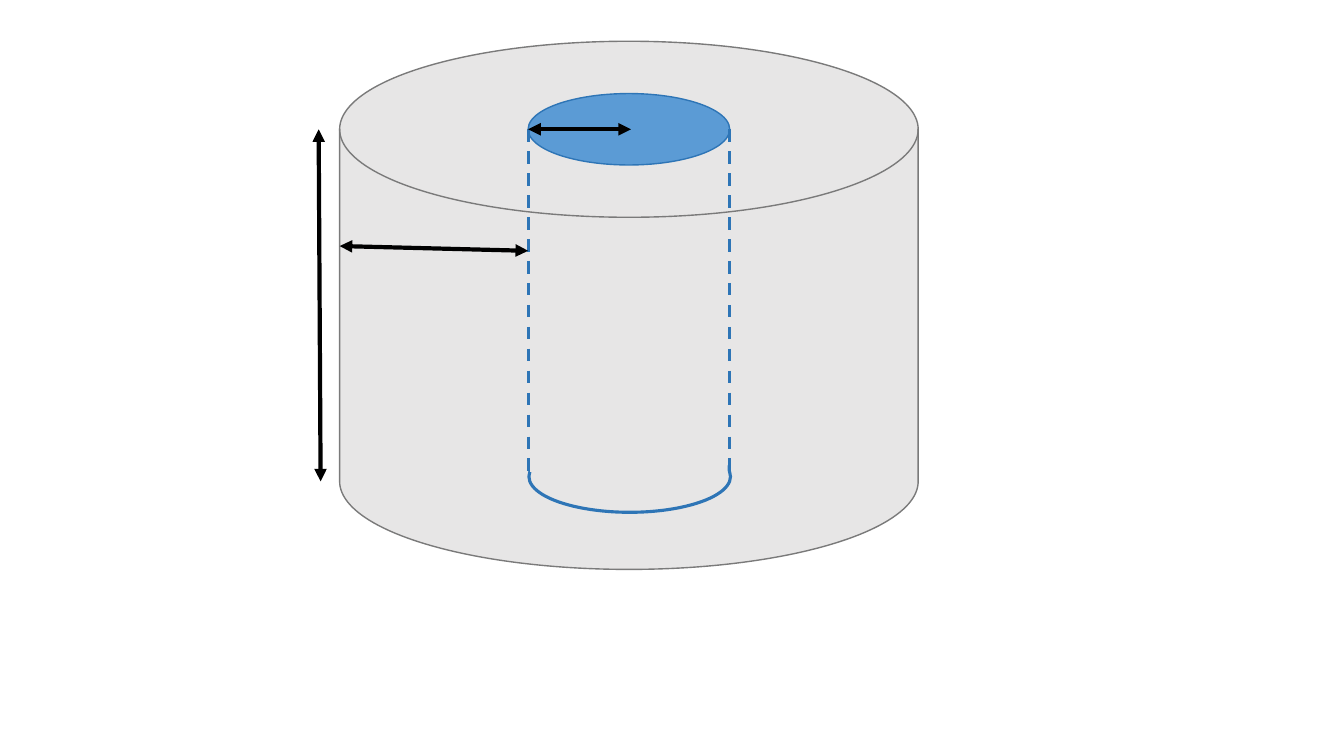
from lxml import etree
from pptx import Presentation
from pptx.dml.color import RGBColor
from pptx.enum import dml, shapes
from pptx.oxml import ns
from pptx.util import Cm, Pt

HUES = {"shell": "E7E6E6", "rim": "7A7A7A", "core": "5B9BD5",
        "edge": "2E75B6", "arrow": "000000"}
SOLID = {"width": Pt(1)}
BOLD = {"width": Pt(2.25)}
DASH = {"width": Pt(2.25), "dash_style": dml.MSO_LINE.DASH}
THICK = {"width": Pt(3)}


def ink(line, hue, style):
    """Colour a line and set its style values."""
    line.color.rgb = RGBColor.from_string(HUES[hue])
    for name, value in style.items():
        setattr(line, name, value)


def solid(slide, kind, box, fill=None, edge=None, style=SOLID):
    """Add a preset shape, filled and outlined where a hue is given."""
    shape = slide.shapes.add_shape(kind, *map(Cm, box))
    shape.shadow.inherit = False
    if fill:
        shape.fill.solid()
        shape.fill.fore_color.rgb = RGBColor.from_string(HUES[fill])
    else:
        shape.fill.background()
    if edge:
        ink(shape.line, edge, style)
    else:
        shape.line.fill.background()


def link(slide, start, end, hue, style, heads=False):
    """Add a straight line, with arrowheads at both ends on request."""
    line = slide.shapes.add_connector(
        shapes.MSO_CONNECTOR.STRAIGHT, *map(Cm, (*start, *end)))
    ink(line.line, hue, style)
    if heads:
        for tag in ("a:headEnd", "a:tailEnd"):
            etree.SubElement(line.line._get_or_add_ln(), ns.qn(tag),
                             type="triangle")
    etree.SubElement(line._element.spPr, ns.qn("a:effectLst"))


def draw(slide, left, top, wide, high):
    """Draw the hollow cylinder and its size arrows in the given box."""
    kind = shapes.MSO_SHAPE
    rim, base = top + high / 6, top + high * 5 / 6
    mid, half, tall = left + wide / 2, 2.54, 1.8
    near, far, foot = mid - half, mid + half, top + 10.92
    gauge = top + 5.16

    solid(slide, kind.FLOWCHART_MAGNETIC_DISK, (left, top, wide, high),
          "shell", "rim")
    solid(slide, kind.OVAL, (near, rim - tall / 2, 2 * half, tall),
          "core", "edge")
    for side in (near, far):
        link(slide, (side, rim), (side, foot), "edge", DASH)
    for start, end in (((near, rim), (mid + 0.05, rim)),
                       ((left, gauge), (near, gauge + 0.12)),
                       ((left - 0.53, rim), (left - 0.48, base))):
        link(slide, start, end, "arrow", THICK, heads=True)
    solid(slide, kind.OVAL, (near + 0.02, foot + 0.05 - tall / 2, 2 * half, tall),
          edge="edge", style=BOLD)
    solid(slide, kind.RECTANGLE, (near + 0.05, foot - 2.03, 2 * half - 0.1, 1.96),
          "shell")


deck = Presentation()
deck.slide_width, deck.slide_height = Cm(33.87), Cm(19.05)
page = deck.slides.add_slide(deck.slide_layouts[6])
draw(page, 8.56, 1.04, 14.58, 13.31)
deck.save("out.pptx")
